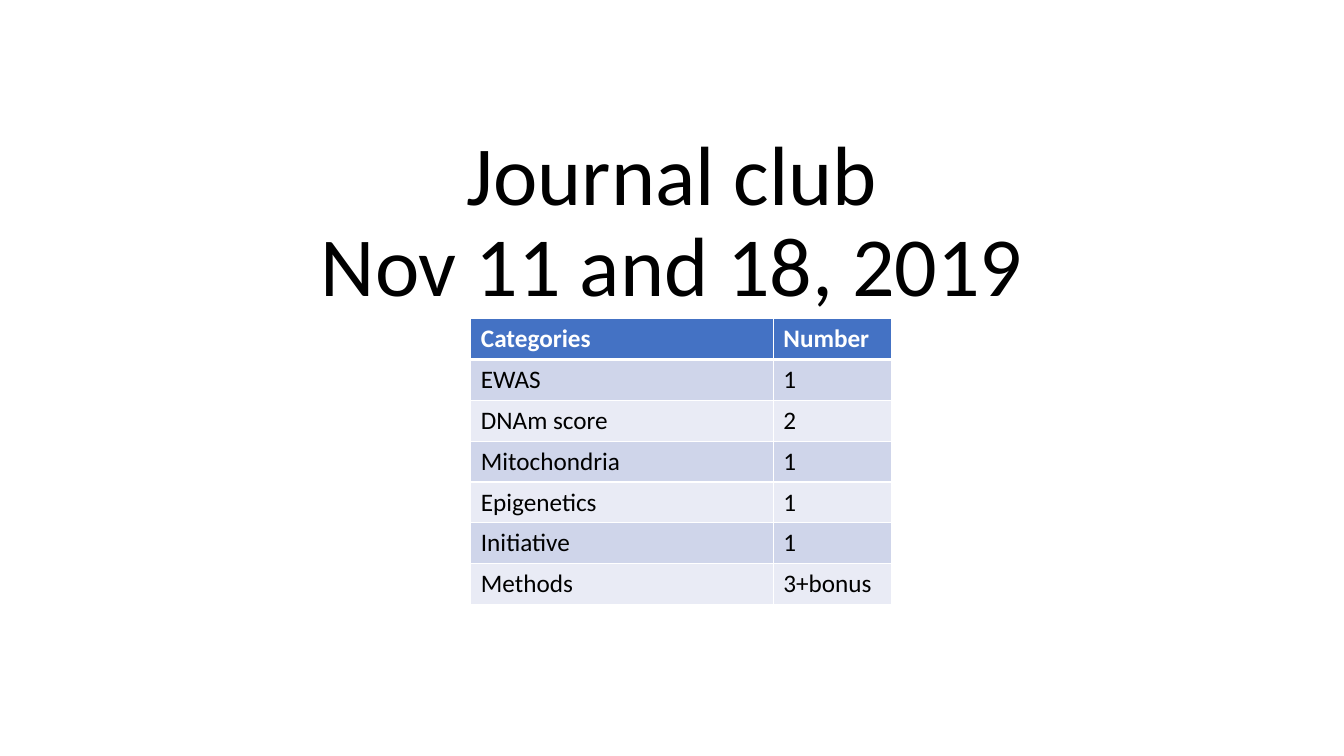
from lxml.etree import SubElement
from pptx import Presentation
from pptx.dml.color import RGBColor
from pptx.enum.text import MSO_ANCHOR, PP_ALIGN
from pptx.oxml.ns import qn
from pptx.util import Inches, Pt

TITLE_LINES = ["Journal club", "Nov 11 and 18, 2019"]
ROWS = [
    ("Categories", "Number"),
    ("EWAS", "1"),
    ("DNAm score", "2"),
    ("Mitochondria", "1"),
    ("Epigenetics", "1"),
    ("Initiative", "1"),
    ("Methods", "3+bonus"),
]
COLORS = {
    "text": "000000",
    "rule": "FFFFFF",
    "header": "4472C4",
    "header_text": "FFFFFF",
    "odd_row": "CFD5EA",
    "even_row": "E9EBF5",
}
FONT = "Calibri"
SLIDE_WIDTH, SLIDE_HEIGHT = 13.33, 7.5
TITLE_WIDTH, TITLE_TOP, TITLE_HEIGHT = 10, 0.56, 2.61
TABLE_LEFT, TABLE_TOP = 4.67, 3.16
COLUMN_WIDTHS = [3, 1.17]
ROW_HEIGHT = 2.84 / len(ROWS)


def style_font(font, size, color, bold=False):
    font.name = FONT
    font.size = Pt(size)
    font.bold = bold
    font.color.rgb = RGBColor.from_string(COLORS[color])


def add_borders(cell, top, bottom):
    """Rule all four sides of a cell; top and bottom widths are in points."""
    properties = cell._tc.get_or_add_tcPr()
    for side, width in (("L", 1), ("R", 1), ("T", top), ("B", bottom)):
        line = SubElement(properties, qn(f"a:ln{side}"), w=str(Pt(width)))
        fill = SubElement(line, qn("a:solidFill"))
        SubElement(fill, qn("a:srgbClr"), val=COLORS["rule"])


def add_title(page):
    left = (SLIDE_WIDTH - TITLE_WIDTH) / 2
    box = page.shapes.add_textbox(
        Inches(left), Inches(TITLE_TOP), Inches(TITLE_WIDTH), Inches(TITLE_HEIGHT))
    frame = box.text_frame
    frame.word_wrap = True
    frame.vertical_anchor = MSO_ANCHOR.BOTTOM
    para = frame.paragraphs[0]
    para.text = "\v".join(TITLE_LINES)
    para.alignment = PP_ALIGN.CENTER
    para.line_spacing = 0.9
    style_font(para.font, 60, "text")


def add_category_table(page):
    table = page.shapes.add_table(
        len(ROWS), len(COLUMN_WIDTHS), Inches(TABLE_LEFT), Inches(TABLE_TOP),
        Inches(sum(COLUMN_WIDTHS)), Inches(ROW_HEIGHT * len(ROWS))).table
    for column, width in zip(table.columns, COLUMN_WIDTHS):
        column.width = Inches(width)
    for row_index, row in enumerate(ROWS):
        table.rows[row_index].height = Inches(ROW_HEIGHT)
        is_header = row_index == 0
        band = "header" if is_header else "odd_row" if row_index % 2 else "even_row"
        for column_index, text in enumerate(row):
            cell = table.cell(row_index, column_index)
            add_borders(cell, top=3 if row_index == 1 else 1, bottom=3 if is_header else 1)
            cell.fill.solid()
            cell.fill.fore_color.rgb = RGBColor.from_string(COLORS[band])
            para = cell.text_frame.paragraphs[0]
            para.text = text
            style_font(para.font, 18, "header_text" if is_header else "text", is_header)


def main():
    deck = Presentation()
    deck.slide_width = Inches(SLIDE_WIDTH)
    deck.slide_height = Inches(SLIDE_HEIGHT)
    page = deck.slides.add_slide(deck.slide_layouts[6])
    add_title(page)
    add_category_table(page)
    deck.save("out.pptx")


if __name__ == "__main__":
    main()
